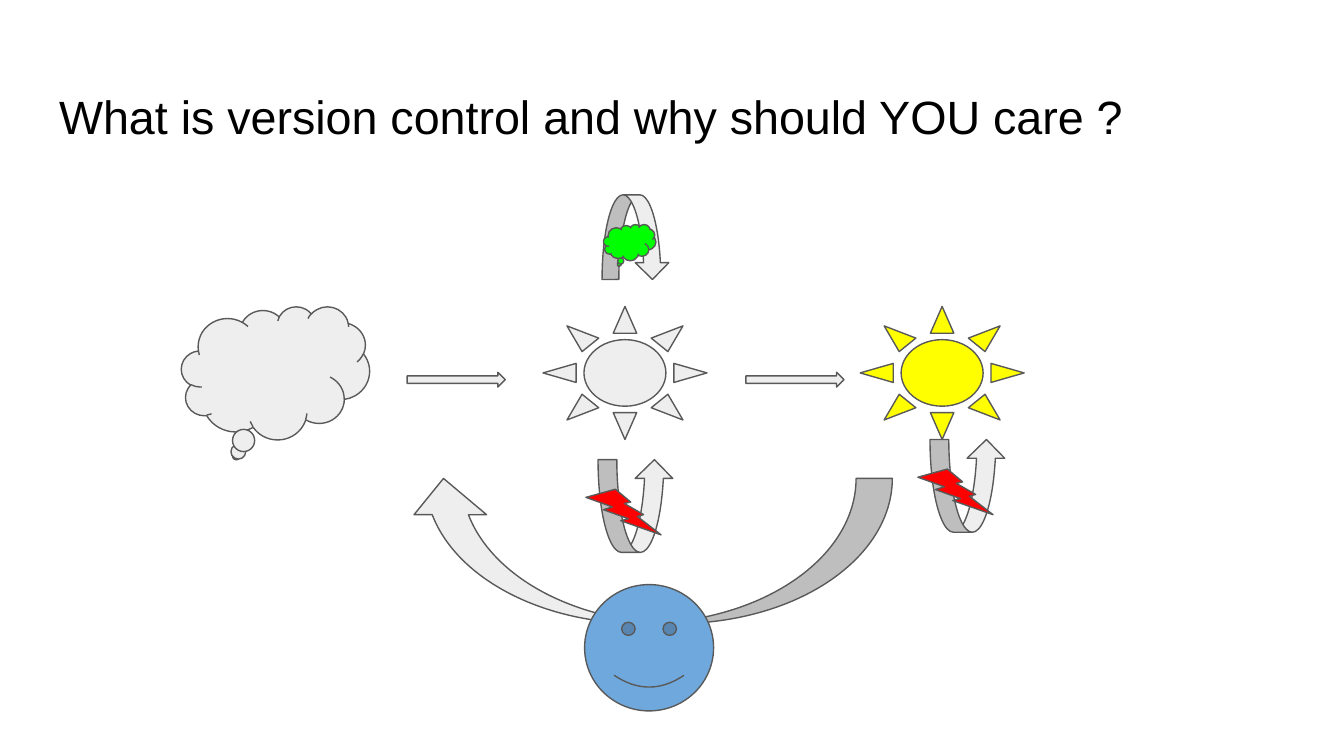
from dataclasses import dataclass

from pptx import Presentation
from pptx.dml.color import RGBColor
from pptx.enum.shapes import MSO_SHAPE as Preset
from pptx.enum.text import MSO_ANCHOR as Anchor, MSO_AUTO_SIZE as AutoSize, PP_ALIGN as Align
from pptx.slide import Slide
from pptx.util import Inches, Pt

GREY = "EEEEEE"
OUTLINE = "595959"
RED = "FF0000"
YELLOW = "FFFF00"
GREEN = "00FF00"
BLUE = "6FA8DC"

STAGE_TOP = 2.28
STEP_TOP = 2.77
SUN_SIZE = (1.22, 0.99)
STEP_SIZE = (0.73, 0.11)
LOOP_SIZE = (0.56, 0.69)
BOLT_SIZE = (0.56, 0.34)
BOLT_OFFSET = (-0.09, 0.22)


@dataclass(frozen=True)
class Symbol:
    preset: Preset
    left: float
    top: float
    size: tuple[float, float]
    fill: str = GREY
    mirrored: bool = False


def color(hex_value: str) -> RGBColor:
    return RGBColor.from_string(hex_value)


def draw_symbol(slide: Slide, symbol: Symbol) -> None:
    width, height = symbol.size
    shape = slide.shapes.add_shape(
        symbol.preset, Inches(symbol.left), Inches(symbol.top), Inches(width), Inches(height)
    )
    shape.shadow.inherit = False
    shape.fill.solid()
    shape.fill.fore_color.rgb = color(symbol.fill)
    shape.line.color.rgb = color(OUTLINE)
    shape.line.width = Pt(0.75)
    if symbol.mirrored:
        shape._element.spPr.get_or_add_xfrm().set("flipH", "1")


def draw_failed_loop(slide: Slide, left: float, top: float) -> None:
    dx, dy = BOLT_OFFSET
    draw_symbol(slide, Symbol(Preset.CURVED_UP_ARROW, left, top, LOOP_SIZE))
    draw_symbol(slide, Symbol(Preset.LIGHTNING_BOLT, left + dx, top + dy, BOLT_SIZE, RED))


def set_title(slide: Slide, wording: str) -> None:
    title = slide.shapes.title
    title.left, title.top = Inches(0.34), Inches(0.49)
    title.width, title.height = Inches(9.32), Inches(0.63)
    frame = title.text_frame
    frame.text = wording
    frame.word_wrap = True
    frame.auto_size = AutoSize.NONE
    frame.vertical_anchor = Anchor.TOP
    frame.margin_left = frame.margin_right = Inches(0.1)
    frame.margin_top = frame.margin_bottom = Inches(0.1)
    paragraph = frame.paragraphs[0]
    paragraph.alignment = Align.LEFT
    paragraph.line_spacing = 1.15
    paragraph.space_after = Pt(12)
    paragraph.font.name = "Arial"
    paragraph.font.size = Pt(25)
    paragraph.font.color.rgb = color("000000")


def main() -> None:
    presentation = Presentation()
    presentation.slide_width = Inches(10)
    presentation.slide_height = Inches(10) * 9 // 16
    slide = presentation.slides.add_slide(presentation.slide_layouts[5])
    set_title(slide, "What is version control and why should YOU care ?")

    draw_failed_loop(slide, 6.92, 3.27)
    workflow = [
        Symbol(Preset.CLOUD_CALLOUT, 1.35, STAGE_TOP, (1.4, 0.99)),
        Symbol(Preset.RIGHT_ARROW, 3.03, STEP_TOP, STEP_SIZE),
        Symbol(Preset.SUN, 4.04, STAGE_TOP, SUN_SIZE),
        Symbol(Preset.RIGHT_ARROW, 5.55, STEP_TOP, STEP_SIZE),
        Symbol(Preset.SUN, 6.4, STAGE_TOP, SUN_SIZE, YELLOW),
        Symbol(Preset.CURVED_DOWN_ARROW, 4.48, 1.45, (0.5, 0.63)),
        Symbol(Preset.CLOUD_CALLOUT, 4.49, 1.67, (0.39, 0.27), GREEN),
        Symbol(Preset.CURVED_UP_ARROW, 3.03, 3.56, (3.61, 1.08), mirrored=True),
    ]
    for symbol in workflow:
        draw_symbol(slide, symbol)
    draw_failed_loop(slide, 4.45, 3.42)
    draw_symbol(slide, Symbol(Preset.SMILEY_FACE, 4.35, 4.35, (0.96, 0.94), BLUE))

    presentation.save("out.pptx")


if __name__ == "__main__":
    main()
